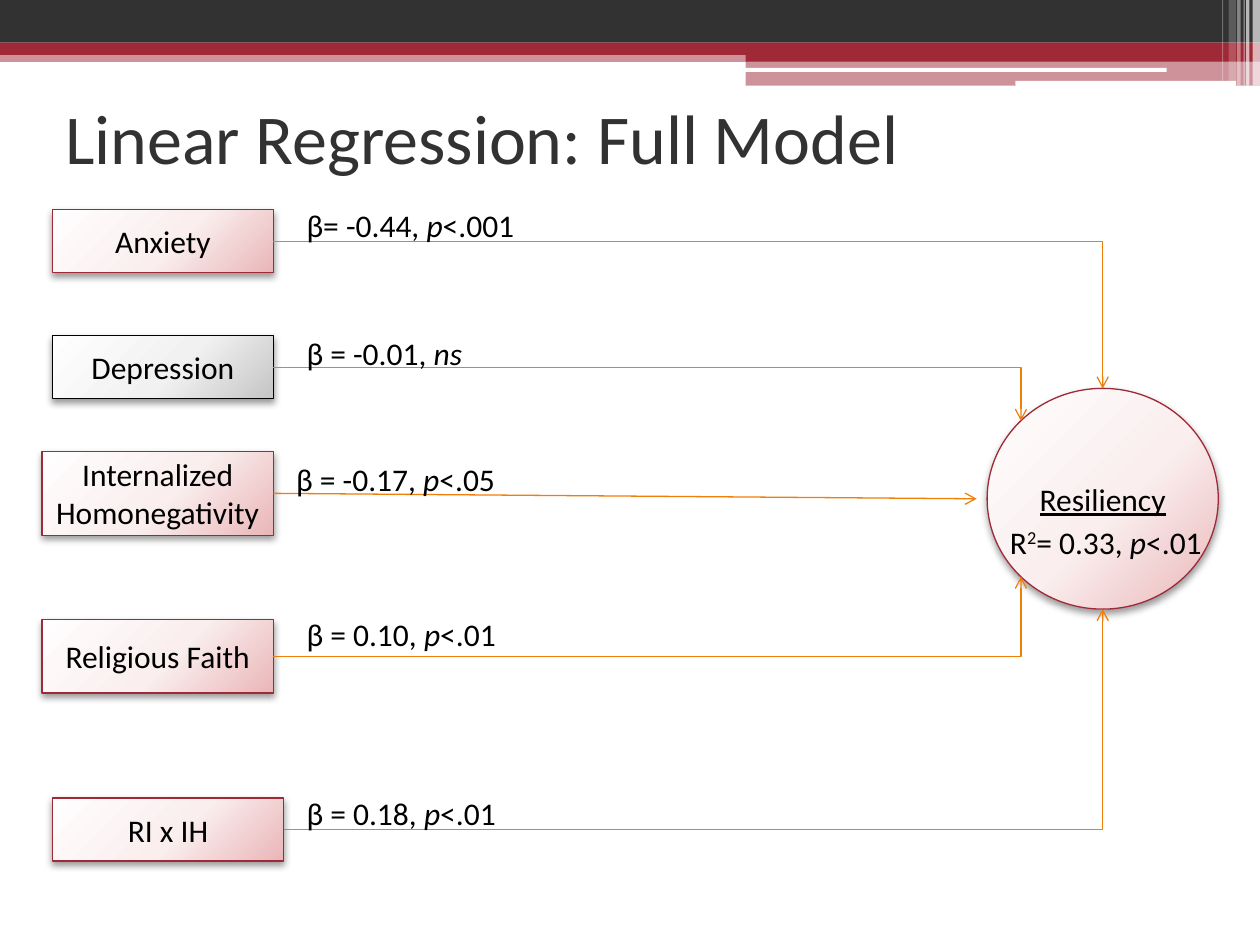
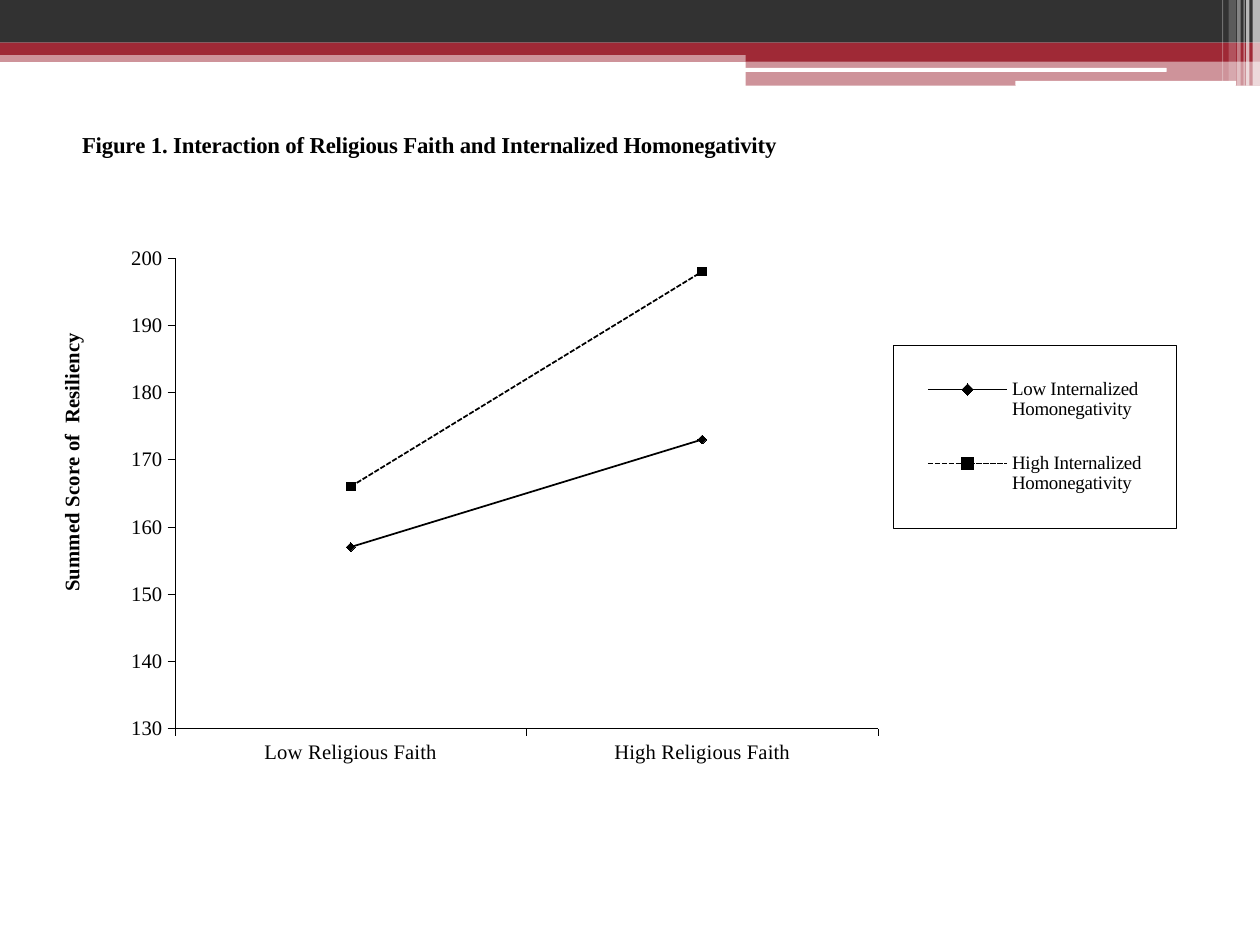
from dataclasses import dataclass
from math import cos, radians, sin
from typing import NamedTuple, Optional

from lxml import etree
from pptx import Presentation
from pptx.chart.data import CategoryChartData
from pptx.dml.color import RGBColor
from pptx.enum import chart as ch, dml, shapes, text
from pptx.oxml import ns, parse_xml
from pptx.util import Cm, Pt


@dataclass(frozen=True)
class Theme:
    red: str = "9F2936"
    dark: str = "323232"
    orange: str = "F07F09"
    black: str = "000000"
    white: str = "FFFFFF"
    red_wash: tuple = ("FFFEFE", "FAEEEE", "EAB6B8")
    gray_wash: tuple = ("FEFEFE", "F1F1F1", "C5C5C5")
    sans: str = "Calibri"
    serif: str = "Times New Roman"
    title: float = 40
    body: float = 18
    chart_title: float = 13
    axis: float = 11.8
    legend: float = 10.8
    thin: float = 0.75
    hairline: float = 0.25


class Rect(NamedTuple):
    left: float
    top: float
    width: float
    height: float

    def cm(self) -> list:
        return [Cm(v) for v in self]


class Band(NamedTuple):
    rect: Rect
    color: str
    alpha: int = 100
    rounded: bool = False


class Run(NamedTuple):
    text: str
    italic: bool = False
    superscript: bool = False


class Factor(NamedTuple):
    name: str
    rect: Rect
    label_at: tuple
    beta: str
    stat: str
    level: str
    site: Optional[int]
    significant: bool = True


class Line(NamedTuple):
    name: str
    values: tuple
    marker: ch.XL_MARKER_STYLE
    dash: dml.MSO_LINE


T = Theme()
WIDTH = 25.4
CIRCLE = Rect(19.9, 7.83, 4.66, 4.45)
ARROW_GAP = 0.21

BANDS = [
    Band(Rect(0, 1.02, WIDTH, 0.23), T.red, 50),
    Band(Rect(0, 0, WIDTH, 0.86), T.dark),
    Band(Rect(0, 0.86, WIDTH, 0.25), T.red),
    Band(Rect(15.03, 0.99, 10.37, 0.25), T.red),
    Band(Rect(15.03, 1.23, 10.37, 0.5), T.red, 50),
    Band(Rect(15.01, 1.37, 8.51, 0.08), T.white, rounded=True),
    Band(Rect(20.47, 1.63, 4.45, 0.1), T.white, rounded=True),
] + [
    Band(Rect(left, 0, width, height), T.white, alpha)
    for left, width, height, alpha in [
        (25.25, 0.15, 1.73, 65), (25.12, 0.07, 1.73, 65),
        (25.07, 0.02, 1.73, 60), (24.94, 0.07, 1.73, 40),
        (24.77, 0.15, 1.63, 20), (24.64, 0.02, 1.63, 30),
    ]
]

FACTORS = [
    Factor("Anxiety", Rect(1.06, 4.23, 4.45, 1.27), (5.93, 4.02),
           "β= -0.44, ", "p", "<.001", 0),
    Factor("Depression", Rect(1.06, 6.77, 4.45, 1.27), (5.93, 6.6),
           "β = -0.01, ", "ns", "", 1, False),
    Factor("Internalized Homonegativity", Rect(0.85, 9.1, 4.66, 1.69), (5.72, 9.14),
           "β = -0.17, ", "p", "<.05", None),
    Factor("Religious Faith", Rect(0.85, 12.49, 4.66, 1.48), (5.93, 12.28),
           "β = 0.10, ", "p", "<.01", 3),
    Factor("RI x IH", Rect(1.06, 16.09, 4.66, 1.27), (5.93, 15.88),
           "β = 0.18, ", "p", "<.01", 4),
]

LINES = [
    Line("Low Internalized Homonegativity", (157, 173),
         ch.XL_MARKER_STYLE.DIAMOND, dml.MSO_LINE.SOLID),
    Line("High Internalized Homonegativity", (166, 198),
         ch.XL_MARKER_STYLE.SQUARE, dml.MSO_LINE.SQUARE_DOT),
]


def rgb(color: str) -> RGBColor:
    return RGBColor.from_string(color)


def set_font(font, size: float, color: str = T.black, name: str = T.sans,
             bold: Optional[bool] = None) -> None:
    font.size, font.name, font.bold = Pt(size), name, bold
    font.color.rgb = rgb(color)


def add_band(slide, band: Band):
    kind = shapes.MSO_SHAPE.ROUNDED_RECTANGLE if band.rounded else shapes.MSO_SHAPE.RECTANGLE
    sp = slide.shapes.add_shape(kind, *band.rect.cm())
    sp.shadow.inherit = False
    sp.fill.solid()
    sp.fill.fore_color.rgb = rgb(band.color)
    sp.line.fill.background()
    if band.alpha < 100:
        color = sp._element.spPr.find(".//" + ns.qn("a:srgbClr"))
        etree.SubElement(color, ns.qn("a:alpha"), val=str(band.alpha * 1000))
    return sp


def add_node(slide, kind, rect: Rect, name: str, line: str = T.red,
             wash: tuple = T.red_wash, underline: bool = False):
    sp = slide.shapes.add_shape(kind, *rect.cm())
    sp.fill.solid()
    sp.line.color.rgb = rgb(line)
    sp.line.width = Pt(T.thin)
    sp.shadow.inherit = False
    props = sp._element.spPr
    stops = "".join(f'<a:gs pos="{pos}000"><a:srgbClr val="{color}"/></a:gs>'
                    for pos, color in zip((0, 55, 100), wash))
    props.replace(props.find(ns.qn("a:solidFill")), parse_xml(
        f'<a:gradFill {ns.nsdecls("a")} rotWithShape="1"><a:gsLst>{stops}</a:gsLst>'
        '<a:path path="circle"><a:fillToRect l="-40000" t="-90000" r="140000" b="190000"/>'
        '</a:path></a:gradFill>'))
    props.find(ns.qn("a:effectLst")).append(parse_xml(
        f'<a:outerShdw {ns.nsdecls("a")} blurRad="{Pt(4.1)}" dist="{Pt(2)}" dir="5400000" '
        'rotWithShape="0"><a:srgbClr val="000000"><a:alpha val="40000"/></a:srgbClr>'
        '</a:outerShdw>'))
    p = sp.text_frame.paragraphs[0]
    p.text = name
    p.alignment = text.PP_ALIGN.CENTER
    set_font(p.font, T.body)
    p.font.underline = underline
    return sp


def add_label(slide, rect: Rect, runs: list) -> None:
    tf = slide.shapes.add_textbox(*rect.cm()).text_frame
    tf.word_wrap = True
    tf.auto_size = text.MSO_AUTO_SIZE.SHAPE_TO_FIT_TEXT
    p = tf.paragraphs[0]
    set_font(p.font, T.body)
    for run in runs:
        r = p.add_run()
        r.text = run.text
        if run.italic:
            r.font.italic = True
        if run.superscript:
            r._r.get_or_add_rPr().set("baseline", "30000")


def circle_site(site: int) -> tuple:
    angle = radians(90 + 45 * site)
    return (CIRCLE.left + CIRCLE.width / 2 * (1 + cos(angle)),
            CIRCLE.top + CIRCLE.height / 2 * (1 - sin(angle)))


def add_arrow(slide, box, circle, rect: Rect, site: Optional[int]) -> None:
    straight = site is None
    kind = shapes.MSO_CONNECTOR.STRAIGHT if straight else shapes.MSO_CONNECTOR.ELBOW
    x, y = circle_site(2 if straight else site)
    if straight:
        x -= ARROW_GAP
    start = rect.left + rect.width, rect.top + rect.height / 2
    c = slide.shapes.add_connector(kind, *(Cm(v) for v in (*start, x, y)))
    c.begin_connect(box, 3)
    c.line.color.rgb = rgb(T.orange)
    c.line.width = Pt(T.thin)
    props = c._element.spPr
    etree.SubElement(props.find(ns.qn("a:ln")), ns.qn("a:tailEnd"), type="arrow")
    etree.SubElement(props, ns.qn("a:effectLst"))
    if not straight:
        props.find(ns.qn("a:prstGeom")).set("prst", "bentConnector2")
        etree.SubElement(c._element.nvCxnSpPr.cNvCxnSpPr, ns.qn("a:endCxn"),
                         id=str(circle.shape_id), idx=str(site))


def place(element, index: int, inner: bool = False, **fractions: float) -> None:
    for layout in element.findall(ns.qn("c:layout")):
        element.remove(layout)
    layout = etree.Element(ns.qn("c:layout"))
    manual = etree.SubElement(layout, ns.qn("c:manualLayout"))
    values = {"layoutTarget": "inner"} if inner else {}
    values |= {"xMode": "edge", "yMode": "edge"} | fractions
    for tag, value in values.items():
        etree.SubElement(manual, ns.qn("c:" + tag), val=str(value))
    element.insert(index, layout)


def add_chart_title(title, words: str, size: float, x: float, y: float) -> None:
    p = title.text_frame.paragraphs[0]
    r = p.add_run()
    r.text = words
    set_font(r.font, size, name=T.serif, bold=True)
    place(title._element, 1, x=x, y=y)


def build_model(prs) -> None:
    slide = prs.slides.add_slide(prs.slide_layouts[5])
    title = slide.shapes.title
    title.left, title.top, title.width, title.height = Rect(1.06, 1.27, 22.86, 2.96).cm()
    title.text_frame.vertical_anchor = text.MSO_ANCHOR.MIDDLE
    p = title.text_frame.paragraphs[0]
    p.text = "Linear Regression: Full Model"
    p.alignment = text.PP_ALIGN.LEFT
    set_font(p.font, T.title, T.dark)

    circle = add_node(slide, shapes.MSO_SHAPE.OVAL, CIRCLE, "Resiliency", underline=True)
    for f in FACTORS:
        look = (T.red, T.red_wash) if f.significant else (T.black, T.gray_wash)
        box = add_node(slide, shapes.MSO_SHAPE.RECTANGLE, f.rect, f.name, *look)
        add_arrow(slide, box, circle, f.rect, f.site)
        runs = [Run(f.beta), Run(f.stat, italic=True), Run(f.level)]
        add_label(slide, Rect(*f.label_at, 6.14, 1.03), [r for r in runs if r.text])
    add_label(slide, Rect(20.11, 10.41, 4.87, 1.03), [
        Run("R"), Run("2", superscript=True), Run("= 0.33, "),
        Run("p", italic=True), Run("<.01")])


def build_interaction(prs) -> None:
    slide = prs.slides.add_slide(prs.slide_layouts[6])
    data = CategoryChartData()
    data.categories = ["Low Religious Faith", "High Religious Faith"]
    for line in LINES:
        data.add_series(line.name, line.values)
    chart = slide.shapes.add_chart(ch.XL_CHART_TYPE.LINE_MARKERS,
                                   *Rect(0.64, 1.91, 23.28, 16.3).cm(), data).chart
    set_font(chart.font, T.axis, name=T.serif)
    add_chart_title(chart.chart_title, "Figure 1. Interaction of Religious Faith and "
                    "Internalized Homonegativity", T.chart_title, 0.04, 0.04)
    place(chart._chartSpace.chart.plotArea, 0, True, x=0.124, y=0.202, w=0.609, h=0.582)

    for axis in (chart.category_axis, chart.value_axis):
        axis.has_major_gridlines = False
        axis.major_tick_mark = ch.XL_TICK_MARK.OUTSIDE
        axis.format.line.color.rgb = rgb(T.black)
        axis.format.line.width = Pt(T.hairline)
        set_font(axis.tick_labels.font, T.axis, name=T.serif)
    values = chart.value_axis
    values.minimum_scale, values.maximum_scale, values.major_unit = 130, 200, 10
    add_chart_title(values.axis_title, "Summed Score of  Resiliency", T.axis, 0.02, 0.29)

    chart.has_legend = True
    legend = chart.legend
    legend.position = ch.XL_LEGEND_POSITION.RIGHT
    legend.include_in_layout = False
    set_font(legend.font, T.legend, name=T.serif)
    place(legend._element, 1, x=0.746, y=0.31, w=0.245, h=0.226)
    legend._element.find(ns.qn("c:txPr")).addprevious(parse_xml(
        f'<c:spPr {ns.nsdecls("c", "a")}><a:ln w="{Pt(T.hairline)}"><a:solidFill>'
        f'<a:srgbClr val="{T.black}"/></a:solidFill></a:ln></c:spPr>'))

    chart.plots[0].vary_by_categories = False
    for series, line in zip(chart.plots[0].series, LINES):
        series.smooth = False
        series.format.line.color.rgb = rgb(T.black)
        series.format.line.width = Pt(1)
        series.format.line.dash_style = line.dash
        series.marker.style, series.marker.size = line.marker, 5
        series.marker.format.fill.solid()
        series.marker.format.fill.fore_color.rgb = rgb(T.black)
        series.marker.format.line.color.rgb = rgb(T.black)


prs = Presentation()
prs.slide_width, prs.slide_height = Cm(WIDTH), Cm(19.05)
build_model(prs)
build_interaction(prs)
for band in BANDS:
    prs.slide_master.shapes.element.append(add_band(prs.slides[0], band)._element)
prs.save("out.pptx")
